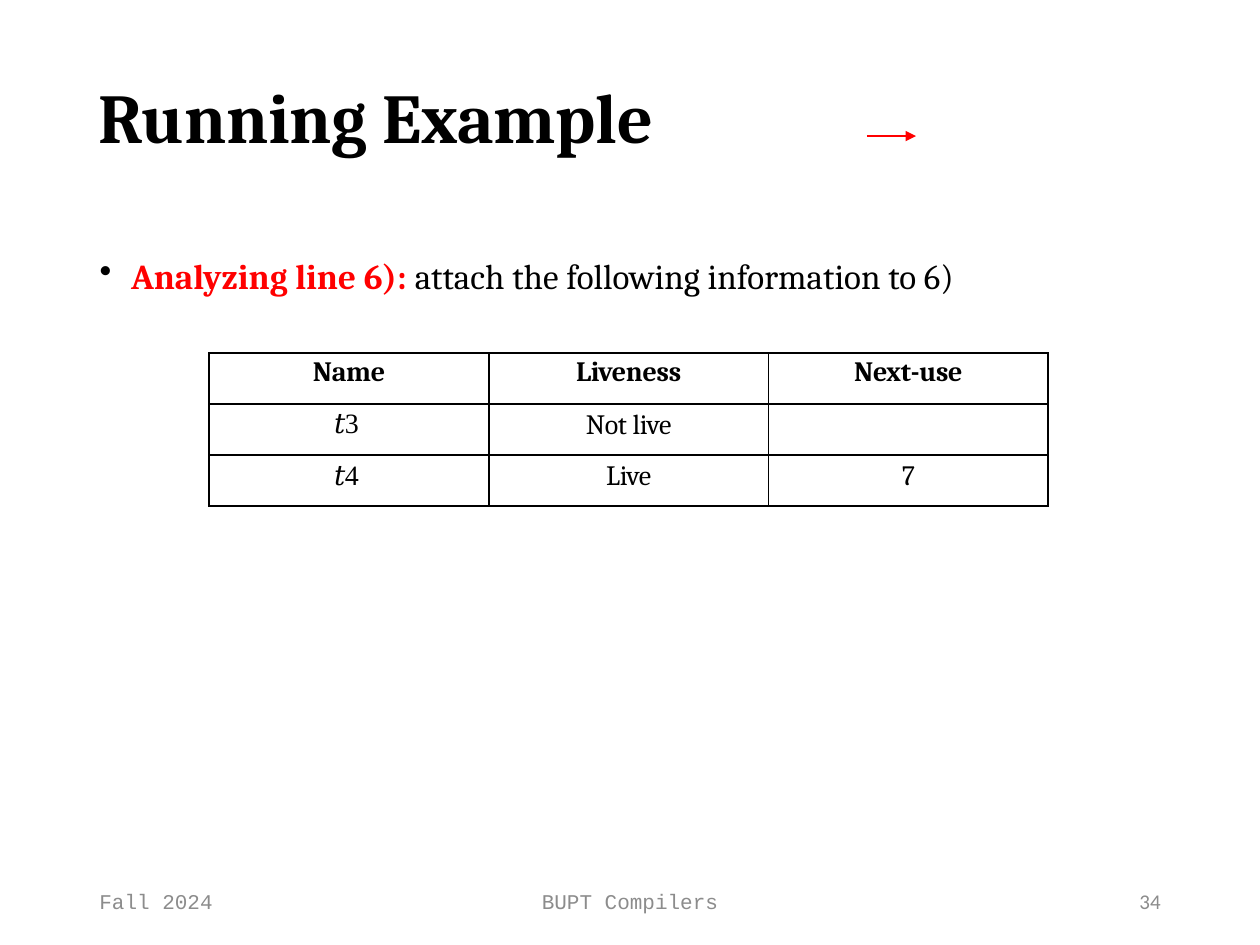
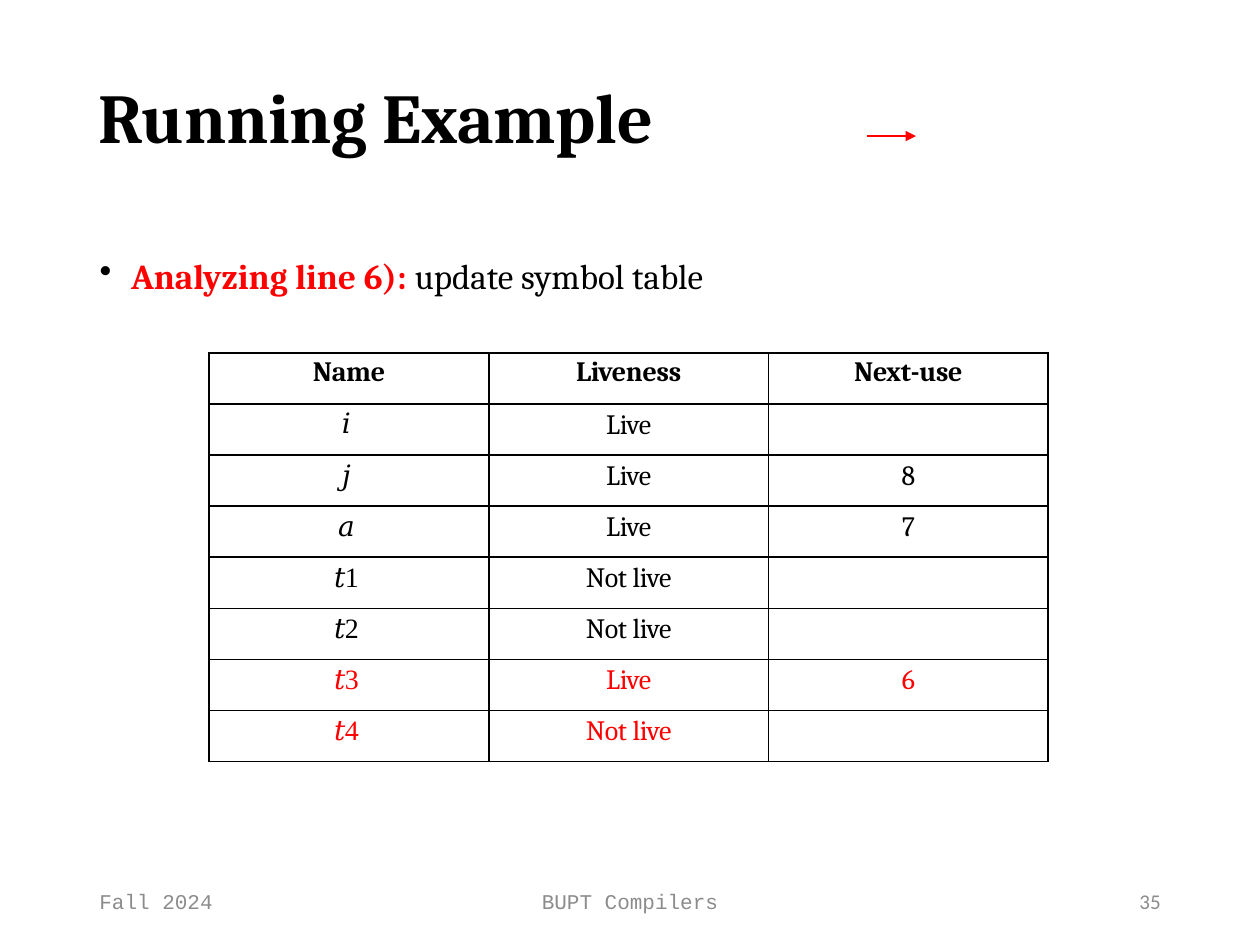
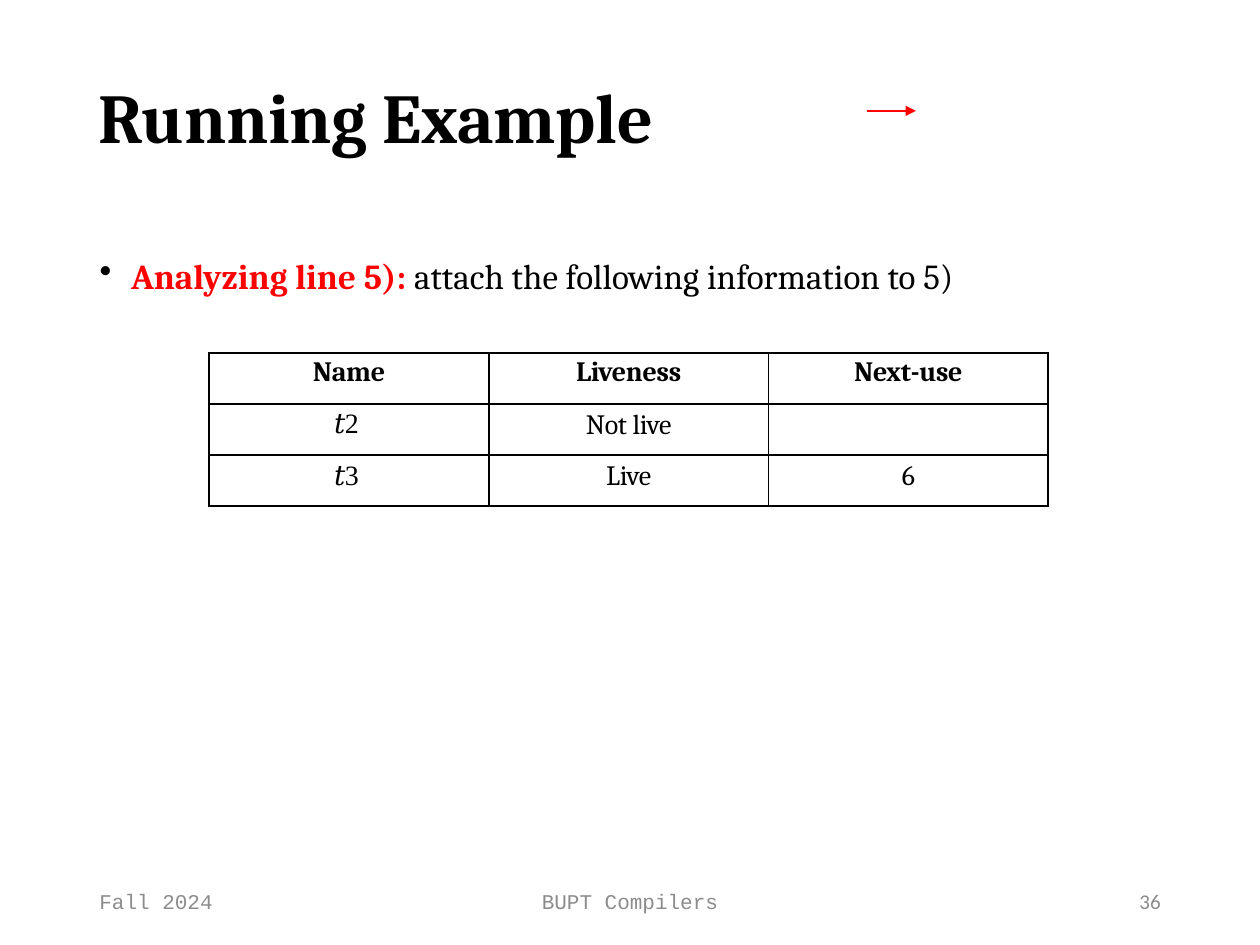
"""Build three slides of a liveness and next-use analysis example."""
from lxml.etree import SubElement
from pptx import Presentation
from pptx.dml.color import RGBColor
from pptx.enum.shapes import MSO_CONNECTOR
from pptx.enum.text import MSO_ANCHOR, MSO_AUTO_SIZE, PP_ALIGN
from pptx.oxml.ns import qn
from pptx.util import Inches, Pt

BLACK = RGBColor(0x00, 0x00, 0x00)
RED = RGBColor(0xFF, 0x00, 0x00)
GREY = RGBColor(0x8C, 0x8C, 0x8C)
SERIF, MATH, MONO, SANS = "Cambria", "Times New Roman", "Courier New", "Calibri"

TITLE = "Running Example"
HEADER = ("Name", "Liveness", "Next-use")
FIRST_PAGE = 34
SLIDES = [
    {
        "lead": "Analyzing line 6): ",
        "task": "attach the following information to 6)",
        "task_width": 7.21,
        "rows": [("𝑡3", "Not live", ""), ("𝑡4", "Live", "7")],
        "changed": (),
        "arrow_top": 1.08,
    },
    {
        "lead": "Analyzing line 6): ",
        "task": "update symbol table",
        "task_width": 5.12,
        "rows": [
            ("𝑖", "Live", ""),
            ("𝑗", "Live", "8"),
            ("𝑎", "Live", "7"),
            ("𝑡1", "Not live", ""),
            ("𝑡2", "Not live", ""),
            ("𝑡3", "Live", "6"),
            ("𝑡4", "Not live", ""),
        ],
        "changed": ("𝑡3", "𝑡4"),
        "arrow_top": 1.08,
    },
    {
        "lead": "Analyzing line 5): ",
        "task": "attach the following information to 5)",
        "task_width": 7.21,
        "rows": [("𝑡2", "Not live", ""), ("𝑡3", "Live", "6")],
        "changed": (),
        "arrow_top": 0.88,
    },
]

SLIDE_WIDTH, SLIDE_HEIGHT = Inches(10), Inches(7.5)
TEXT_LEFT = 0.77
TABLE_LEFT, TABLE_TOP = Inches(1.66), Inches(2.8)
COLUMN_WIDTH, ROW_HEIGHT = Inches(2.22), Pt(29.2)
ARROW_LEFT, ARROW_RIGHT = 6.88, 7.27
FOOTER_TOP, FOOTER_HEIGHT = 6.95, 0.4


def add_span(para, text, font, size, color, bold=False, spacing=0):
    span = para.add_run()
    span.text = text
    span.font.name = font
    span.font.size = Pt(size)
    span.font.bold = bold
    span.font.color.rgb = color
    if spacing:
        span._r.get_or_add_rPr().set("spc", str(round(spacing * 100)))


def place(box, left, top, width, height):
    box.left, box.top = Inches(left), Inches(top)
    box.width, box.height = Inches(width), Inches(height)


def fit_frame(frame):
    frame.margin_left = frame.margin_right = frame.margin_bottom = 0
    frame.margin_top = Inches(0.01)
    frame.vertical_anchor = MSO_ANCHOR.TOP
    frame.word_wrap = True
    frame.auto_size = MSO_AUTO_SIZE.SHAPE_TO_FIT_TEXT


def add_title(page):
    title = page.shapes.title
    place(title, TEXT_LEFT, 0.57, 8.45, 0.69)
    fit_frame(title.text_frame)
    para = title.text_frame.paragraphs[0]
    para.alignment = PP_ALIGN.LEFT
    properties = para._p.get_or_add_pPr()
    properties.set("marL", str(Inches(0.01)))
    properties.set("indent", "0")
    add_span(para, TITLE, SERIF, 40, BLACK, bold=True, spacing=-0.05)


def add_task(page, lead, task, width):
    box = page.shapes.add_textbox(Inches(TEXT_LEFT), Inches(2.01), Inches(width), Inches(0.36))
    fit_frame(box.text_frame)
    para = box.text_frame.paragraphs[0]
    properties = para._p.get_or_add_pPr()
    properties.set("marL", str(Inches(0.27)))
    properties.set("indent", str(Inches(-0.25)))
    bullet_color = SubElement(properties, qn("a:buClr"))
    SubElement(bullet_color, qn("a:srgbClr"), val=str(BLACK))
    SubElement(properties, qn("a:buChar"), char="•")
    tabs = SubElement(properties, qn("a:tabLst"))
    SubElement(tabs, qn("a:tab"), pos=str(Inches(0.27)), algn="l")
    add_span(para, lead, SERIF, 20, RED, bold=True)
    add_span(para, task, SERIF, 20, BLACK)


def add_borders(cell):
    properties = cell._tc.get_or_add_tcPr()
    for side in ("lnL", "lnR", "lnT", "lnB"):
        line = SubElement(properties, qn(f"a:{side}"), w=str(Pt(1)))
        fill = SubElement(line, qn("a:solidFill"))
        SubElement(fill, qn("a:srgbClr"), val=str(BLACK))


def add_symbol_table(page, body, changed):
    rows = [HEADER, *body]
    table = page.shapes.add_table(
        len(rows), len(HEADER), TABLE_LEFT, TABLE_TOP,
        COLUMN_WIDTH * len(HEADER), ROW_HEIGHT * len(rows),
    ).table
    table.first_row = table.horz_banding = False
    for column in table.columns:
        column.width = COLUMN_WIDTH
    for row_index, row in enumerate(rows):
        table.rows[row_index].height = ROW_HEIGHT
        is_header = row_index == 0
        color = RED if row[0] in changed else BLACK
        for column_index, text in enumerate(row):
            is_symbol = column_index == 0 and not is_header
            cell = table.cell(row_index, column_index)
            add_borders(cell)
            cell.fill.background()
            cell.margin_left = cell.margin_bottom = 0
            cell.margin_right = Inches(0.04) if is_symbol else 0
            cell.margin_top = Inches(0.03 if is_header else 0.04)
            para = cell.text_frame.paragraphs[0]
            para.alignment = PP_ALIGN.CENTER
            if text:
                font = MATH if is_symbol else SERIF
                add_span(para, text, font, 16, color, bold=is_header, spacing=-0.15)


def add_arrow(page, top):
    arrow = page.shapes.add_connector(
        MSO_CONNECTOR.STRAIGHT,
        Inches(ARROW_LEFT), Inches(top), Inches(ARROW_RIGHT), Inches(top),
    )
    arrow.line.color.rgb = RED
    arrow.line.width = Pt(1.5)
    SubElement(arrow.line._get_or_add_ln(), qn("a:tailEnd"), type="triangle")
    SubElement(arrow._element.spPr, qn("a:effectLst"))


def add_footer(page, number):
    parts = [
        ("Fall 2024", 0.69, 2.25, PP_ALIGN.LEFT, MONO),
        ("BUPT Compilers", 3.31, 3.38, PP_ALIGN.CENTER, MONO),
        (str(number), 7.06, 2.25, PP_ALIGN.RIGHT, SANS),
    ]
    for text, left, width, alignment, font in parts:
        box = page.shapes.add_textbox(
            Inches(left), Inches(FOOTER_TOP), Inches(width), Inches(FOOTER_HEIGHT)
        )
        box.text_frame.word_wrap = True
        box.text_frame.vertical_anchor = MSO_ANCHOR.MIDDLE
        para = box.text_frame.paragraphs[0]
        para.alignment = alignment
        add_span(para, text, font, 12, GREY)


def main():
    deck = Presentation()
    deck.slide_width, deck.slide_height = SLIDE_WIDTH, SLIDE_HEIGHT
    title_only = deck.slide_layouts[5]
    for number, content in enumerate(SLIDES, FIRST_PAGE):
        page = deck.slides.add_slide(title_only)
        add_footer(page, number)
        add_title(page)
        add_task(page, content["lead"], content["task"], content["task_width"])
        add_symbol_table(page, content["rows"], content["changed"])
        add_arrow(page, content["arrow_top"])
    deck.save("out.pptx")


if __name__ == "__main__":
    main()
